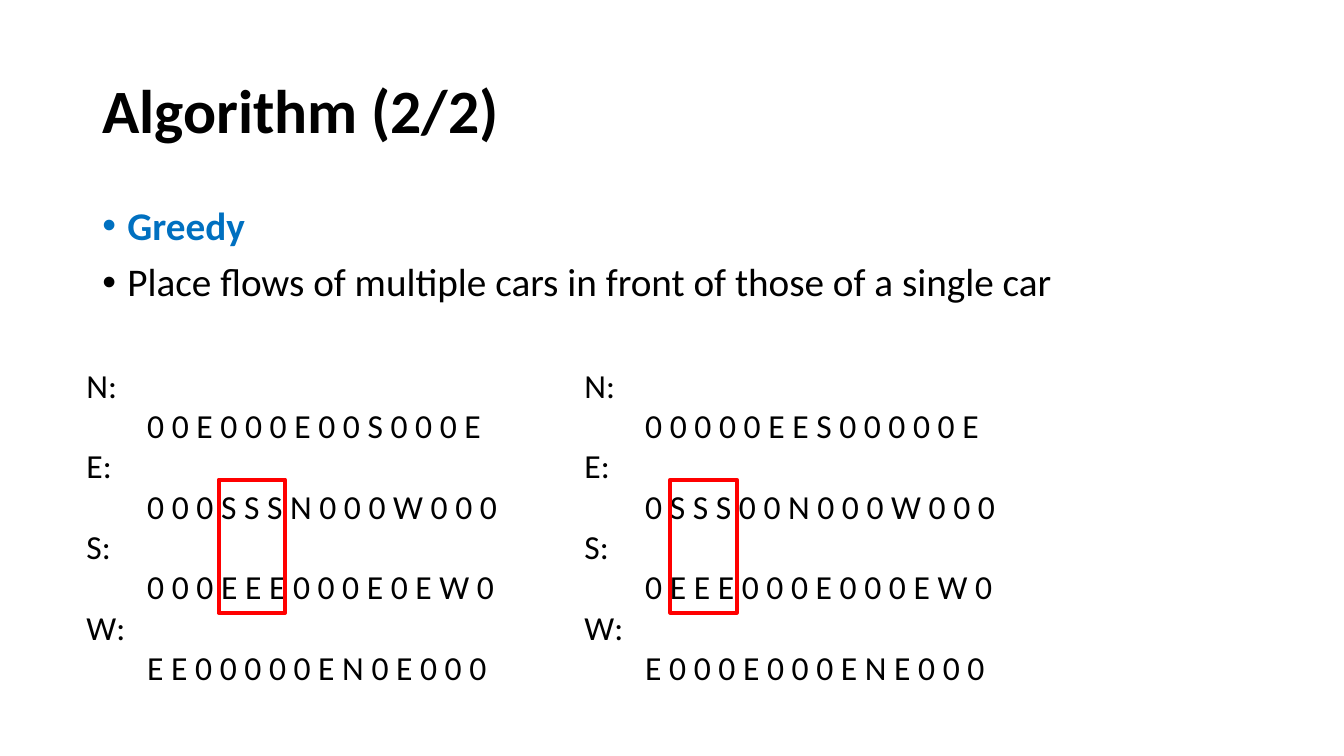
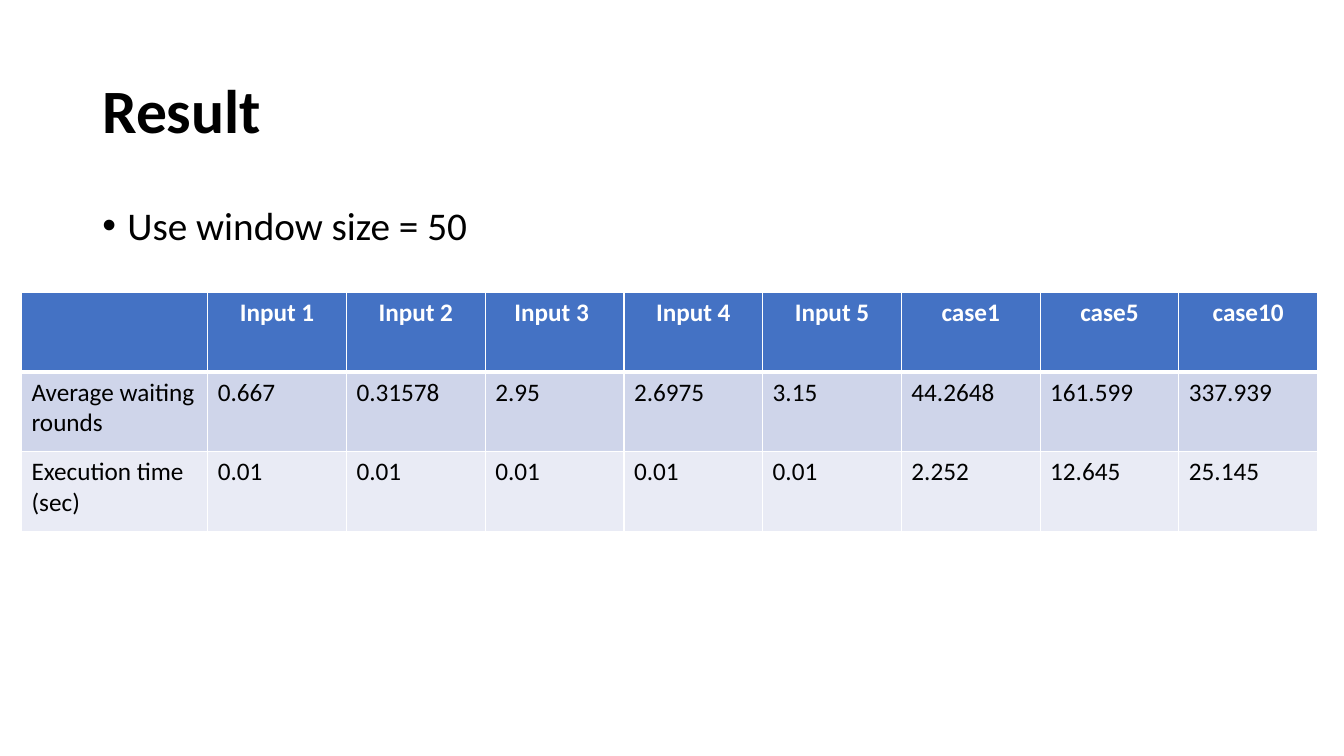
from pptx import Presentation
from pptx.dml.color import RGBColor
from pptx.enum.shapes import MSO_SHAPE
from pptx.enum.text import MSO_ANCHOR, PP_ALIGN
from pptx.oxml.ns import qn
from pptx.util import Pt
from lxml import etree

RECTANGLE = MSO_SHAPE.RECTANGLE
MIDDLE = MSO_ANCHOR.MIDDLE
LEFT, CENTER = PP_ALIGN.LEFT, PP_ALIGN.CENTER

BLACK = RGBColor(0x00, 0x00, 0x00)
WHITE = RGBColor(0xFF, 0xFF, 0xFF)
RED = RGBColor(0xFF, 0x00, 0x00)
BLUE = RGBColor(0x00, 0x70, 0xC0)
HEADER_BLUE = RGBColor(0x44, 0x72, 0xC4)
ROW_FILLS = (HEADER_BLUE, RGBColor(0xCF, 0xD5, 0xEA), RGBColor(0xE9, 0xEB, 0xF5))

TITLE = {"size": Pt(44), "bold": True}
BODY = {"size": Pt(28)}
KEYWORD = {"size": Pt(28), "bold": True, "color": BLUE}
LANE = {"size": Pt(24)}
CELL = {"size": Pt(18)}
HEADER = {"size": Pt(18), "bold": True, "color": WHITE}


class Slides:
    """Holds the shared style and the slide being filled."""

    def __init__(self):
        self.deck = Presentation()
        self.deck.slide_width, self.deck.slide_height = Pt(960), Pt(540)
        self.page = None

    def format_text(self, para, text, style):
        values = {"name": "Calibri", "bold": False, "color": BLACK, **style}
        span = para.add_run()
        span.text = text
        span.font.color.rgb = values.pop("color")
        for name, value in values.items():
            setattr(span.font, name, value)

    def indent(self, para, margin, first=0, bullet=None):
        properties = para._p.get_or_add_pPr()
        properties.set("marL", str(Pt(margin)))
        properties.set("indent", str(Pt(first)))
        if bullet:
            font = etree.SubElement(properties, qn("a:buFont"))
            font.set("typeface", "Arial")
            etree.SubElement(properties, qn("a:buChar")).set("char", bullet)

    def text_box(self, left, top, width, height):
        frame = self.page.shapes.add_textbox(
            Pt(left), Pt(top), Pt(width), Pt(height)).text_frame
        frame.word_wrap = True
        return frame

    def paragraphs(self, frame, count):
        return [frame.paragraphs[0]] + [frame.add_paragraph() for _ in range(count - 1)]

    def new_page(self, title):
        self.page = self.deck.slides.add_slide(self.deck.slide_layouts[6])
        frame = self.text_box(66, 28.8, 828, 104.4)
        frame.vertical_anchor = MIDDLE
        para = frame.paragraphs[0]
        para.line_spacing = 0.9
        self.format_text(para, title, TITLE)

    def bullets(self, items):
        frame = self.text_box(66, 144, 828, 342.7)
        for index, para in enumerate(self.paragraphs(frame, len(items))):
            self.indent(para, 18, -18, "•")
            para.line_spacing = 0.9
            para.space_before = Pt(10 if index else 0)
            self.format_text(para, *items[index])

    def lanes(self, left, width, flows):
        """Direction labels, each followed by its indented flow."""
        lines = [line for flow in flows for line in flow]
        frame = self.text_box(left, 257, width, 240)
        for index, para in enumerate(self.paragraphs(frame, len(lines))):
            if index % 2:
                self.indent(para, 43.4)
            self.format_text(para, lines[index], LANE)

    def highlight(self, left):
        box = self.page.shapes.add_shape(RECTANGLE, Pt(left), Pt(342.7), Pt(47.5), Pt(95))
        box.shadow.inherit = False
        box.fill.background()
        box.line.color.rgb = RED
        box.line.width = Pt(3)

    def borders(self, cell, widths):
        properties = cell._tc.get_or_add_tcPr()
        for side, width in widths.items():
            line = etree.SubElement(properties, qn("a:ln" + side), w=str(Pt(width)))
            fill = etree.SubElement(line, qn("a:solidFill"))
            etree.SubElement(fill, qn("a:srgbClr"), val=str(WHITE))

    def table(self, left, top, rows, column_widths, row_height):
        table = self.page.shapes.add_table(
            len(rows), len(column_widths), Pt(left), Pt(top),
            Pt(sum(column_widths)), Pt(row_height * len(rows))).table
        table.horz_banding = False
        for column, width in zip(table.columns, column_widths):
            column.width = Pt(width)
        for row_index, texts in enumerate(rows):
            is_header = row_index == 0
            widths = {"L": 1, "R": 1, "T": 3 if row_index == 1 else 1,
                      "B": 3 if is_header else 1}
            for column_index, text in enumerate(texts):
                cell = table.cell(row_index, column_index)
                self.borders(cell, widths)
                cell.fill.solid()
                cell.fill.fore_color.rgb = ROW_FILLS[row_index]
                para = cell.text_frame.paragraphs[0]
                para.alignment = CENTER if is_header else LEFT
                if text:
                    self.format_text(para, text, HEADER if is_header else CELL)


def main():
    slides = Slides()

    # Greedy ordering: flows before and after
    slides.new_page("Algorithm (2/2)")
    slides.bullets([
        ("Greedy", KEYWORD),
        ("Place flows of multiple cars in front of those of a single car", BODY),
    ])
    before = [
        ("N:", "0 0 E 0 0 0 E 0 0 S 0 0 0 E"),
        ("E:", "0 0 0 S S S N 0 0 0 W 0 0 0"),
        ("S:", "0 0 0 E E E 0 0 0 E 0 E W 0"),
        ("W:", "E E 0 0 0 0 0 E N 0 E 0 0 0"),
    ]
    after = [
        ("N:", "0 0 0 0 0 E E S 0 0 0 0 0 E"),
        ("E:", "0 S S S 0 0 N 0 0 0 W 0 0 0"),
        ("S:", "0 E E E 0 0 0 E 0 0 0 E W 0"),
        ("W:", "E 0 0 0 E 0 0 0 E N E 0 0 0"),
    ]
    for left, width, flows, highlight_left in (
            (54.7, 360, before, 156.2), (410.4, 480, after, 478.8)):
        slides.lanes(left, width, flows)
        slides.highlight(highlight_left)

    # Measured results
    slides.new_page("Result")
    slides.bullets([("Use window size = 50", BODY)])
    slides.table(15.4, 208.8, [
        ["", "Input 1", "Input 2", "Input 3 ", "Input 4", "Input 5",
         "case1", "case5", "case10"],
        ["Average waiting rounds", "0.667", "0.31578", "2.95", "2.6975", "3.15",
         "44.2648", "161.599", "337.939"],
        ["Execution time (sec)"] + ["0.01"] * 5 + ["2.252", "12.645", "25.145"],
    ], [133] + [99.1] * 8, 56.9)

    slides.deck.save("out.pptx")


if __name__ == "__main__":
    main()
